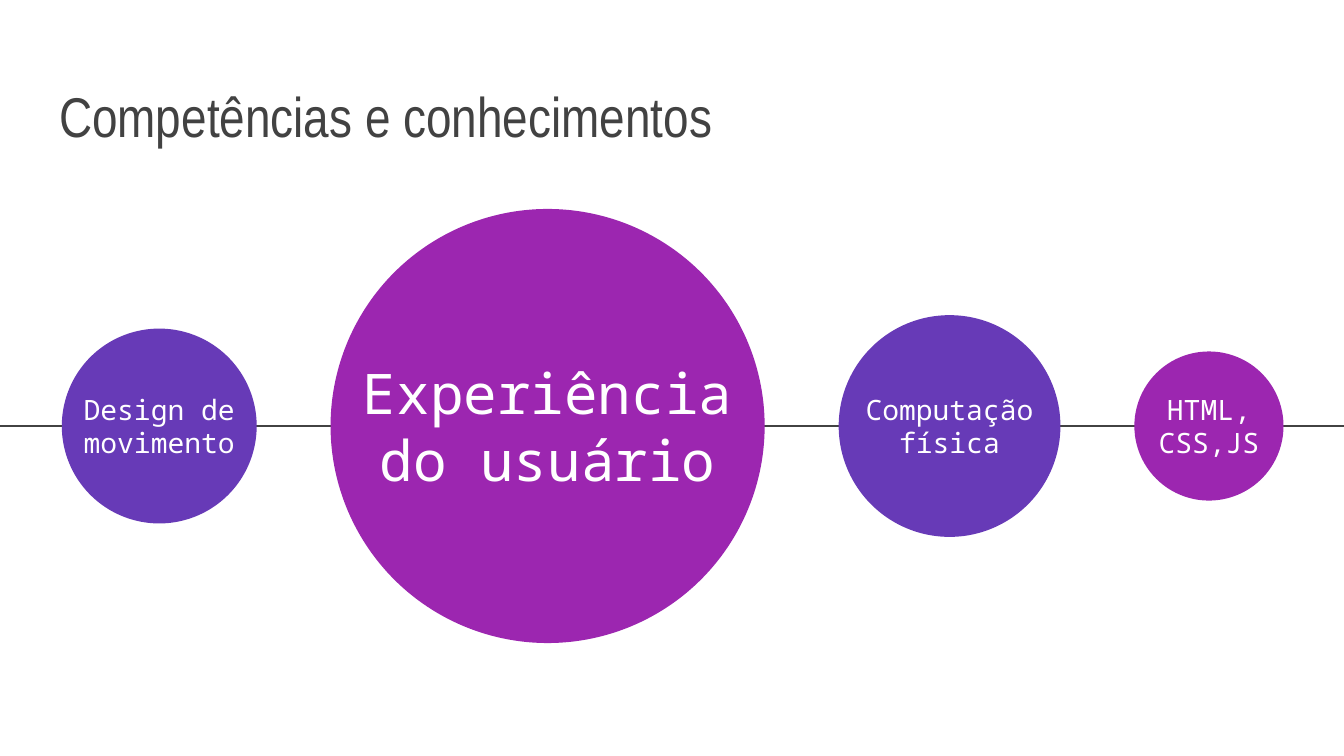
import pptx
import pptx.util
import pptx.dml.color
import pptx.enum.shapes
import pptx.enum.text
import pptx.oxml.ns
import lxml.etree

COLORS = {"ink": "424242", "violet": "673AB7", "purple": "9C26B0", "white": "FFFFFF"}
SKILLS = [
    ("Design de movimento", 1.45, 15, "violet"),
    ("Experiência do usuário", 3.23, 30, "purple"),
    ("Computação física", 1.65, 15, "violet"),
    ("HTML, CSS,JS", 1.11, 15, "purple"),
]


def rgb(name):
    return pptx.dml.color.RGBColor.from_string(COLORS[name])


def write(frame, text, font_name, size, color, align, anchor):
    frame.text = text
    frame.word_wrap = True
    frame.auto_size = pptx.enum.text.MSO_AUTO_SIZE.NONE
    frame.vertical_anchor = anchor
    frame.margin_left = frame.margin_right = pptx.util.Inches(0.1)
    frame.margin_top = frame.margin_bottom = pptx.util.Inches(0.1)
    paragraph = frame.paragraphs[0]
    paragraph.alignment = align
    font = paragraph.runs[0].font
    font.name = font_name
    font.size = pptx.util.Pt(size)
    font.color.rgb = rgb(color)


deck = pptx.Presentation()
deck.slide_width = pptx.util.Inches(10)
deck.slide_height = deck.slide_width * 9 // 16
slide = deck.slides.add_slide(deck.slide_layouts[5])

margin = pptx.util.Inches(0.34)
heading = slide.shapes.title
heading.left, heading.top = margin, pptx.util.Inches(0.41)
heading.width = deck.slide_width - 2 * margin
heading.height = pptx.util.Inches(0.8)
write(heading.text_frame, "Competências e conhecimentos", "Arial Narrow", 30, "ink",
      pptx.enum.text.PP_ALIGN.LEFT, pptx.enum.text.MSO_ANCHOR.BOTTOM)

axis = pptx.util.Inches(3.17)
thread = slide.shapes.add_connector(
    pptx.enum.shapes.MSO_CONNECTOR.STRAIGHT,
    pptx.util.Inches(-0.01), axis, deck.slide_width, axis)
thread.line.color.rgb = rgb("ink")
thread.line.width = pptx.util.Pt(1.5)
lxml.etree.SubElement(thread._element.spPr, pptx.oxml.ns.qn("a:effectLst"))

gap = pptx.util.Inches(0.55)
label_height = pptx.util.Inches(0.66)
left = pptx.util.Inches(0.46)
for skill, diameter, size, color in SKILLS:
    width = pptx.util.Inches(diameter)
    circle = slide.shapes.add_shape(
        pptx.enum.shapes.MSO_SHAPE.OVAL, left, axis - width // 2, width, width)
    circle.shadow.inherit = False
    circle.fill.solid()
    circle.fill.fore_color.rgb = rgb(color)
    circle.line.fill.background()
    label = slide.shapes.add_textbox(left, axis - label_height // 2, width, label_height)
    write(label.text_frame, skill, "Noto Sans Mono", size, "white",
          pptx.enum.text.PP_ALIGN.CENTER, pptx.enum.text.MSO_ANCHOR.MIDDLE)
    left += width + gap

deck.save("out.pptx")
